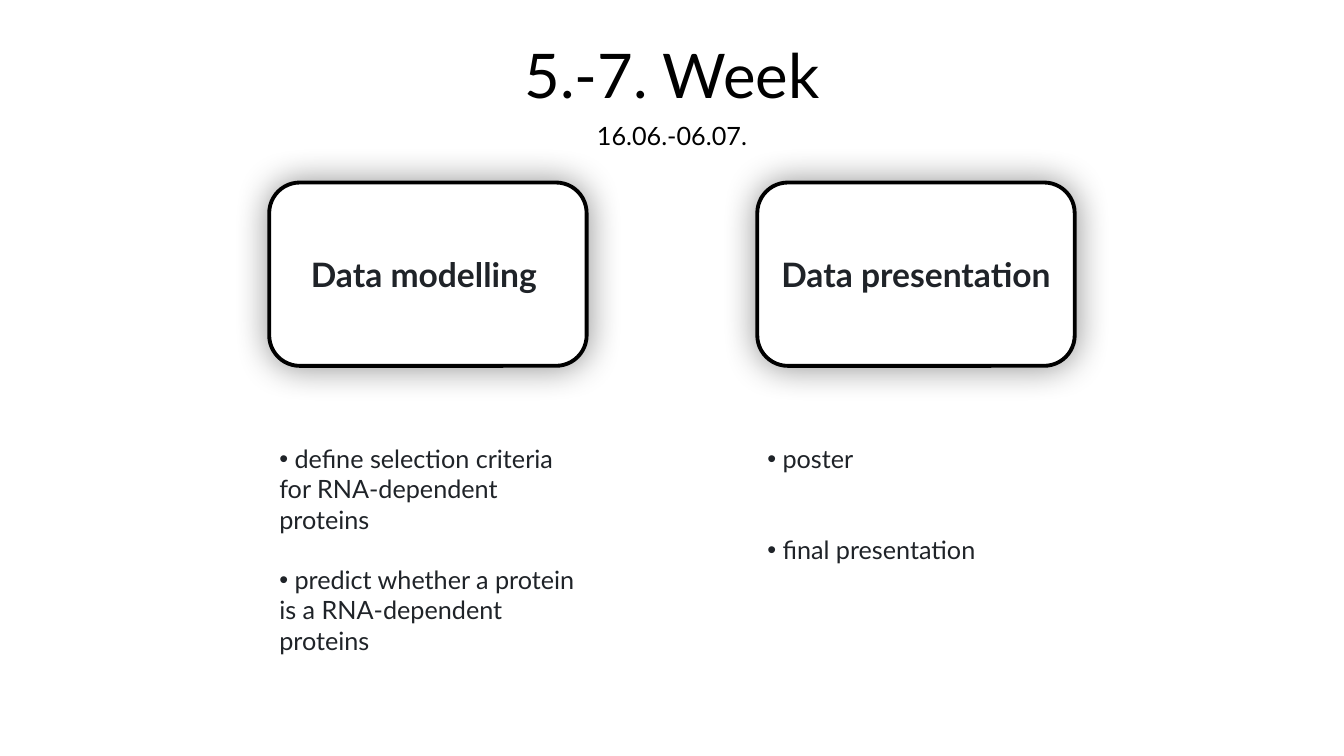
"""Build the weekly plan slide with two work packages and their tasks."""
from dataclasses import dataclass

from lxml.etree import SubElement
from pptx import Presentation
from pptx.dml.color import RGBColor
from pptx.enum.shapes import MSO_SHAPE as Shape
from pptx.enum.text import MSO_ANCHOR as Anchor, MSO_AUTO_SIZE as AutoSize, PP_ALIGN as Align
from pptx.oxml.ns import qn
from pptx.util import Cm, Pt

TITLE = "5.-7. Week"
DATES = "16.06.-06.07."
PACKAGES = [
    {
        "name": "Data modelling ",
        "tasks": [
            " define selection criteria for RNA-dependent proteins",
            " predict whether a protein is a RNA-dependent proteins",
        ],
        "gap_lines": 1,
        "list_height": Cm(4.88),
    },
    {
        "name": "Data presentation",
        "tasks": [" poster", " final presentation"],
        "gap_lines": 2,
        "list_height": Cm(3.33),
    },
]


@dataclass(frozen=True)
class Theme:
    font: str = "Lato"
    black: RGBColor = RGBColor(0, 0, 0)
    ink: RGBColor = RGBColor(0x1F, 0x23, 0x28)
    white: RGBColor = RGBColor(255, 255, 255)
    title_size: Pt = Pt(44)
    card_size: Pt = Pt(24)
    text_size: Pt = Pt(18)
    line_height: Pt = Pt(21.6)
    outline: Pt = Pt(2.75)
    shadow_blur: Pt = Pt(25)


THEME = Theme()
SLIDE_WIDTH, SLIDE_HEIGHT = Cm(33.87), Cm(19.05)
CARD_WIDTH, CARD_HEIGHT, CARD_GAP = Cm(8), Cm(4.62), Cm(4.3)
CARD_TOP, LIST_TOP = Cm(4.6), Cm(11.05)


def place(shape, left, top, width, height):
    shape.left, shape.top, shape.width, shape.height = left, top, width, height


def centred_left(width):
    return (SLIDE_WIDTH - width) // 2


def format_text(paragraph, size, color, align=Align.LEFT, bold=False):
    paragraph.alignment = align
    for run in paragraph.runs:
        font = run.font
        font.name, font.size, font.bold = THEME.font, size, bold
        font.color.rgb = color


def add_glow(shape):
    shape.shadow.inherit = False
    effects = shape._element.spPr.find(qn("a:effectLst"))
    shadow = SubElement(effects, qn("a:outerShdw"), blurRad=str(THEME.shadow_blur),
                        dist="0", dir="2700000", algn="ctr", rotWithShape="0")
    color = SubElement(shadow, qn("a:srgbClr"), val=str(THEME.black))
    SubElement(color, qn("a:alpha"), val="43000")


def add_card(slide, name, left):
    card = slide.shapes.add_shape(Shape.ROUNDED_RECTANGLE, left, CARD_TOP, CARD_WIDTH, CARD_HEIGHT)
    card.fill.solid()
    card.fill.fore_color.rgb = THEME.white
    card.line.color.rgb = THEME.black
    card.line.width = THEME.outline
    add_glow(card)
    card.text_frame.text = name
    card.text_frame.vertical_anchor = Anchor.MIDDLE
    format_text(card.text_frame.paragraphs[0], THEME.card_size, THEME.ink, Align.CENTER, True)


def fill_list(placeholder, package, left):
    place(placeholder, left, LIST_TOP, CARD_WIDTH, package["list_height"])
    text_frame = placeholder.text_frame
    text_frame.text = "\n".join(package["tasks"])
    text_frame.auto_size = AutoSize.SHAPE_TO_FIT_TEXT
    for index, paragraph in enumerate(text_frame.paragraphs):
        properties = paragraph._p.get_or_add_pPr()
        properties.set("marL", "0")
        properties.set("indent", "0")
        SubElement(properties, qn("a:buFont"), typeface="Arial")
        SubElement(properties, qn("a:buChar"), char="•")
        paragraph.space_before = package["gap_lines"] * THEME.line_height if index else Pt(0)
        format_text(paragraph, THEME.text_size, THEME.ink)


def add_heading(slide):
    title = slide.shapes.title
    width = Cm(16.28)
    place(title, centred_left(width), Cm(0.81), width, Cm(2.14))
    width = Cm(4.39)
    dates = slide.shapes.add_textbox(centred_left(width), Cm(2.9), width, Cm(1.02))
    for shape, text, size in ((title, TITLE, THEME.title_size), (dates, DATES, THEME.text_size)):
        text_frame = shape.text_frame
        text_frame.text = text
        text_frame.word_wrap = True
        text_frame.auto_size = AutoSize.SHAPE_TO_FIT_TEXT
        text_frame.vertical_anchor = Anchor.TOP
        format_text(text_frame.paragraphs[0], size, THEME.black, Align.CENTER)


def main():
    presentation = Presentation()
    presentation.slide_width, presentation.slide_height = SLIDE_WIDTH, SLIDE_HEIGHT
    slide = presentation.slides.add_slide(presentation.slide_layouts.get_by_name("Two Content"))
    add_heading(slide)
    first_left = centred_left(len(PACKAGES) * CARD_WIDTH + (len(PACKAGES) - 1) * CARD_GAP)
    for index, package in enumerate(PACKAGES):
        left = first_left + index * (CARD_WIDTH + CARD_GAP)
        add_card(slide, package["name"], left)
        fill_list(slide.placeholders[index + 1], package, left)
    presentation.save("out.pptx")


if __name__ == "__main__":
    main()
